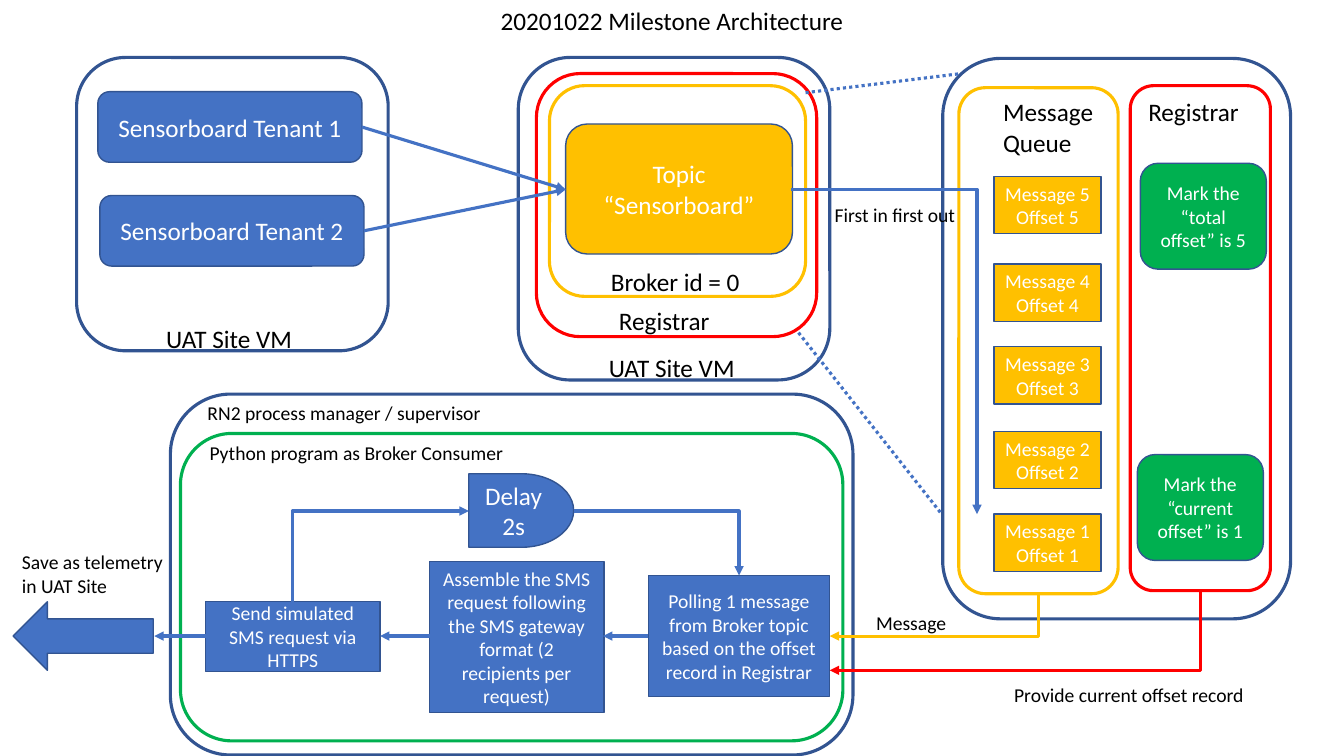
from dataclasses import dataclass

from lxml import etree
from pptx import Presentation
from pptx.dml.color import RGBColor
from pptx.enum.dml import MSO_LINE
from pptx.enum.shapes import MSO_CONNECTOR, MSO_SHAPE
from pptx.enum.text import MSO_ANCHOR, MSO_AUTO_SIZE, PP_ALIGN
from pptx.oxml.ns import qn
from pptx.util import Inches, Pt

RECT, ROUND = MSO_SHAPE.RECTANGLE, MSO_SHAPE.ROUNDED_RECTANGLE
DELAY, ARROW = MSO_SHAPE.FLOWCHART_DELAY, MSO_SHAPE.RIGHT_ARROW
STRAIGHT, ELBOW = MSO_CONNECTOR.STRAIGHT, MSO_CONNECTOR.ELBOW
LEFT, CENTER = PP_ALIGN.LEFT, PP_ALIGN.CENTER
TOP, MIDDLE = MSO_ANCHOR.TOP, MSO_ANCHOR.MIDDLE
FIT = MSO_AUTO_SIZE.SHAPE_TO_FIT_TEXT
DOTTED = MSO_LINE.ROUND_DOT


@dataclass(frozen=True)
class Theme:
    font: str = "Calibri"
    large: int = 18
    small: int = 14
    thin: float = 1
    thick: float = 2.25
    blue: str = "4472C4"
    navy: str = "325491"
    gold: str = "FFC000"
    red: str = "FF0000"
    green: str = "00B050"
    white: str = "FFFFFF"
    black: str = "000000"


theme = Theme()

# Content: places are left, top, width, height in inches
TITLE = "20201022 Milestone Architecture"

FRAMES = [
    ((0.76, 0.57, 3.09, 2.91), theme.navy),   # tenant VM
    ((5.14, 0.57, 3.09, 3.20), theme.navy),   # broker VM
    ((5.32, 0.73, 2.78, 2.61), theme.red),
    ((5.45, 0.85, 2.54, 2.09), theme.gold),
    ((9.35, 0.58, 3.45, 5.56), theme.navy),   # broker detail
    ((11.21, 0.85, 1.39, 5.01), theme.red),
    ((9.51, 0.87, 1.58, 5.02), theme.gold),
    ((1.69, 3.91, 6.77, 3.58), theme.navy),   # process manager
    ((1.79, 4.30, 6.57, 3.05), theme.green),
]

BLOCKS = [
    ("Sensorboard Tenant 1", (0.97, 0.91, 2.62, 0.7), ROUND, theme.blue, theme.large),
    ("Sensorboard Tenant 2", (0.99, 1.94, 2.62, 0.7), ROUND, theme.blue, theme.large),
    ("Topic\n“Sensorboard”", (5.61, 1.23, 2.25, 1.29), ROUND, theme.gold, theme.large),
    ("Mark the “total offset” is 5", (11.31, 1.62, 1.25, 1.05), ROUND,
     theme.green, theme.small),
    ("Mark the “current offset” is 1", (11.28, 4.51, 1.25, 1.05), ROUND,
     theme.green, theme.small),
    ("Polling 1 message from Broker topic based on the offset record in Registrar",
     (6.43, 5.71, 1.8, 1.2), RECT, theme.blue, theme.small),
    ("Assemble the SMS request following the SMS gateway format "
     "(2 recipients per request)", (4.26, 5.57, 1.73, 1.5), RECT, theme.blue, theme.small),
    ("Send simulated SMS request via HTTPS", (2.04, 5.97, 1.73, 0.69), RECT,
     theme.blue, theme.small),
    ("Delay 2s", (4.65, 4.7, 1.04, 0.73), DELAY, theme.blue, theme.large),
]

# Queue messages by number, with the top of each
MESSAGE_TOPS = {5: 1.75, 4: 2.62, 3: 3.44, 2: 4.28, 1: 5.1}
MESSAGE_LEFT, MESSAGE_SIZE = 9.86, (1.06, 0.57)

# Labels: text, place, size, wraps
LABELS = [
    ("UAT Site VM", (1.55, 3.16, 1.46, 0.4), theme.large, False),
    ("UAT Site VM", (5.94, 3.45, 1.46, 0.4), theme.large, False),
    ("Registrar", (6.04, 2.98, 1.29, 0.4), theme.large, False),
    ("Broker id = 0", (5.96, 2.59, 1.49, 0.4), theme.large, False),
    ("Registrar", (11.29, 0.91, 1.29, 0.4), theme.large, False),
    ("Message Queue", (9.85, 0.91, 1.14, 0.71), theme.large, True),
    ("First in first out", (8.18, 1.96, 1.41, 0.34), theme.small, False),
    ("RN2 process manager / supervisor", (1.96, 3.93, 3.1, 0.34), theme.small, False),
    ("Python program as Broker Consumer", (1.98, 4.33, 3.4, 0.34), theme.small, False),
    ("Provide current offset record", (9.96, 6.73, 2.5, 0.34), theme.small, False),
    ("Save as telemetry in UAT Site", (0.12, 5.41, 1.66, 0.57), theme.small, True),
    ("Message", (8.59, 6.01, 0.91, 0.34), theme.small, False),
]

STRAIGHT_ARROWS = [
    ((3.59, 1.26), (5.61, 1.88)),
    ((3.61, 2.29), (5.61, 1.88)),
    ((6.43, 6.31), (5.98, 6.31)),
    ((4.26, 6.31), (3.77, 6.31)),
    ((2.04, 6.31), (1.53, 6.31)),
]
ZOOM_LINES = [((7.99, 0.92), (9.53, 0.73)), ((7.92, 3.3), (9.34, 5.1))]

# Bent arrows: start, end, colour, first leg is vertical
BENT_ARROWS = [
    ((7.85, 1.88), (9.69, 5.1), theme.blue, False),
    ((5.69, 5.07), (7.33, 5.71), theme.blue, False),
    ((2.9, 5.97), (4.65, 5.07), theme.blue, True),
    ((11.91, 5.86), (8.23, 6.65), theme.red, True),
    ((10.3, 5.89), (8.23, 6.31), theme.gold, True),
]

deck = Presentation()
deck.slide_width, deck.slide_height = Inches(13.33), Inches(7.5)
page = deck.slides.add_slide(deck.slide_layouts[6])


def rgb(value):
    return RGBColor.from_string(value)


def write(shape, text, *, size, color, align=LEFT, anchor=TOP, wrap=True):
    frame = shape.text_frame
    frame.word_wrap, frame.vertical_anchor = wrap, anchor
    for index, words in enumerate(text.split("\n")):
        para = frame.add_paragraph() if index else frame.paragraphs[0]
        para.alignment = align
        span = para.add_run()
        span.text = words
        span.font.name, span.font.size = theme.font, Pt(size)
        span.font.color.rgb = rgb(color)


def add_box(place, kind, *, fill=None, line=theme.navy, width=theme.thin):
    box = page.shapes.add_shape(kind, *map(Inches, place))
    box.shadow.inherit = False
    if fill:
        box.fill.solid()
        box.fill.fore_color.rgb = rgb(fill)
    else:
        box.fill.background()
    box.line.color.rgb, box.line.width = rgb(line), Pt(width)
    return box


def add_block(text, place, kind, fill, size):
    box = add_box(place, kind, fill=fill)
    write(box, text, size=size, color=theme.white, align=CENTER, anchor=MIDDLE)


def add_label(text, place, size, wrap, align=LEFT):
    box = page.shapes.add_textbox(*map(Inches, place))
    write(box, text, size=size, color=theme.black, align=align, wrap=wrap)
    box.text_frame.auto_size = FIT


def add_line(start, end, *, kind=STRAIGHT, color=theme.blue, arrow=True):
    line = page.shapes.add_connector(kind, *map(Inches, (*start, *end)))
    line.line.color.rgb, line.line.width = rgb(color), Pt(theme.thick)
    properties = line._element.spPr
    if arrow:
        etree.SubElement(properties.find(qn("a:ln")), qn("a:tailEnd"), type="triangle")
    etree.SubElement(properties, qn("a:effectLst"))
    return line


def add_bent_arrow(start, end, color, vertical_first):
    if vertical_first:
        # A quarter turn about the centre makes the first leg vertical
        (x1, y1), (x2, y2) = start, end
        middle_x, middle_y = (x1 + x2) / 2, (y1 + y2) / 2
        half_x, half_y = (x2 - x1) / 2, (y2 - y1) / 2
        start = middle_x - half_y, middle_y + half_x
        end = middle_x + half_y, middle_y - half_x
    line = add_line(start, end, kind=ELBOW, color=color)
    properties = line._element.spPr
    properties.find(qn("a:prstGeom")).set("prst", "bentConnector2")
    if vertical_first:
        properties.find(qn("a:xfrm")).set("rot", str(90 * 60000))


# Frames and filled blocks
for place, color in FRAMES:
    add_box(place, ROUND, line=color, width=theme.thick)
for block in BLOCKS:
    add_block(*block)
for number, top in MESSAGE_TOPS.items():
    add_block(f"Message {number}\nOffset {number}", (MESSAGE_LEFT, top, *MESSAGE_SIZE),
              RECT, theme.gold, theme.small)
telemetry_arrow = add_box((0.13, 5.97, 1.39, 0.68), ARROW, fill=theme.blue)
telemetry_arrow.rotation = 180

# Connections
for start, end in STRAIGHT_ARROWS:
    add_line(start, end)
for start, end in ZOOM_LINES:
    add_line(start, end, arrow=False).line.dash_style = DOTTED
for bent_arrow in BENT_ARROWS:
    add_bent_arrow(*bent_arrow)

# Title and labels
add_label(TITLE, (0, 0, 13.33, 0.4), theme.large, True, align=CENTER)
for label in LABELS:
    add_label(*label)

deck.save("out.pptx")
